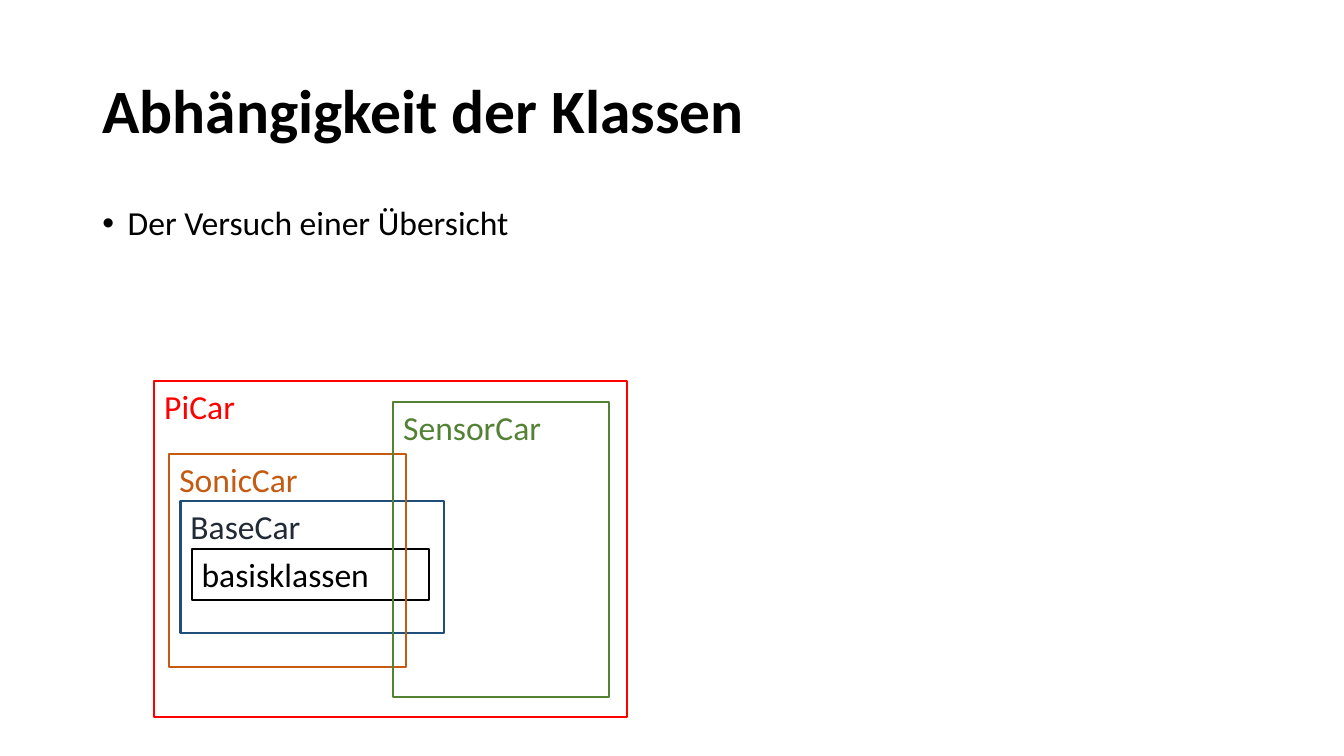
from pptx import Presentation
from pptx.dml.color import RGBColor
from pptx.enum import shapes, text
from pptx.oxml import parse_xml
from pptx.oxml.ns import nsdecls
from pptx.util import Cm, Pt


def rgb(code):
    return RGBColor.from_string(code)


class Deck:
    font = "Calibri"
    size = 24

    def __init__(self, wide, high):
        self.prs = Presentation()
        self.prs.slide_width, self.prs.slide_height = Cm(wide), Cm(high)
        self.slide = self.prs.slides.add_slide(self.prs.slide_layouts[5])

    def label(self, shape, words, color="000000", size=size, bold=False,
              anchor=text.MSO_ANCHOR.TOP):
        """Fill the shape with one left-aligned paragraph and return it."""
        frame = shape.text_frame
        frame.word_wrap = True
        frame.auto_size = text.MSO_AUTO_SIZE.NONE
        frame.vertical_anchor = anchor
        par = frame.paragraphs[0]
        par.text = words
        par.alignment = text.PP_ALIGN.LEFT
        par.font.name, par.font.size, par.font.bold = self.font, Pt(size), bold
        par.font.color.rgb = rgb(color)
        return par

    def title(self, words, x, y, w, h):
        shape = self.slide.shapes.title
        shape.left, shape.top, shape.width, shape.height = map(Cm, (x, y, w, h))
        par = self.label(shape, words, size=44, bold=True,
                         anchor=text.MSO_ANCHOR.MIDDLE)
        par.line_spacing = 0.9

    def bullet(self, words, x, y, w, h):
        shape = self.slide.shapes.add_textbox(*map(Cm, (x, y, w, h)))
        par = self.label(shape, words)
        par.line_spacing, par.space_before = 0.9, Pt(10)
        props = par._p.get_or_add_pPr()
        props.set("marL", str(Cm(0.64)))
        props.set("indent", str(-Cm(0.64)))
        font = parse_xml(f'<a:buFont {nsdecls("a")} typeface="Arial"/>')
        mark = parse_xml(f'<a:buChar {nsdecls("a")} char="•"/>')
        props.insert_element_before(font, "a:buChar", "a:tabLst", "a:defRPr")
        props.insert_element_before(mark, "a:tabLst", "a:defRPr")

    def frame(self, words, x, y, w, h, line, color=None):
        """Draw an unfilled class box; its label takes the line colour by default."""
        shape = self.slide.shapes.add_shape(
            shapes.MSO_SHAPE.RECTANGLE, *map(Cm, (x, y, w, h)))
        shape.shadow.inherit = False
        shape.fill.background()
        shape.line.color.rgb = rgb(line)
        shape.line.width = Pt(1.5)
        self.label(shape, words, color or line)


def main():
    deck = Deck(33.87, 19.05)
    deck.title("Abhängigkeit der Klassen", 2.33, 1.02, 29.21, 3.68)
    deck.bullet("Der Versuch einer Übersicht", 2.33, 5.08, 29.21, 12.09)
    deck.frame("basisklassen", 4.83, 13.84, 5.99, 1.27, "000000")
    deck.frame("BaseCar", 4.55, 12.62, 6.65, 3.33, "1F4E79", "222A35")
    deck.frame("SonicCar", 4.27, 11.43, 5.97, 5.38, "C55A11")
    deck.frame("SensorCar", 9.91, 10.13, 5.44, 7.44, "548235")
    deck.frame("PiCar", 3.89, 9.6, 11.91, 8.46, "FF0000")
    deck.prs.save("out.pptx")


if __name__ == "__main__":
    main()
